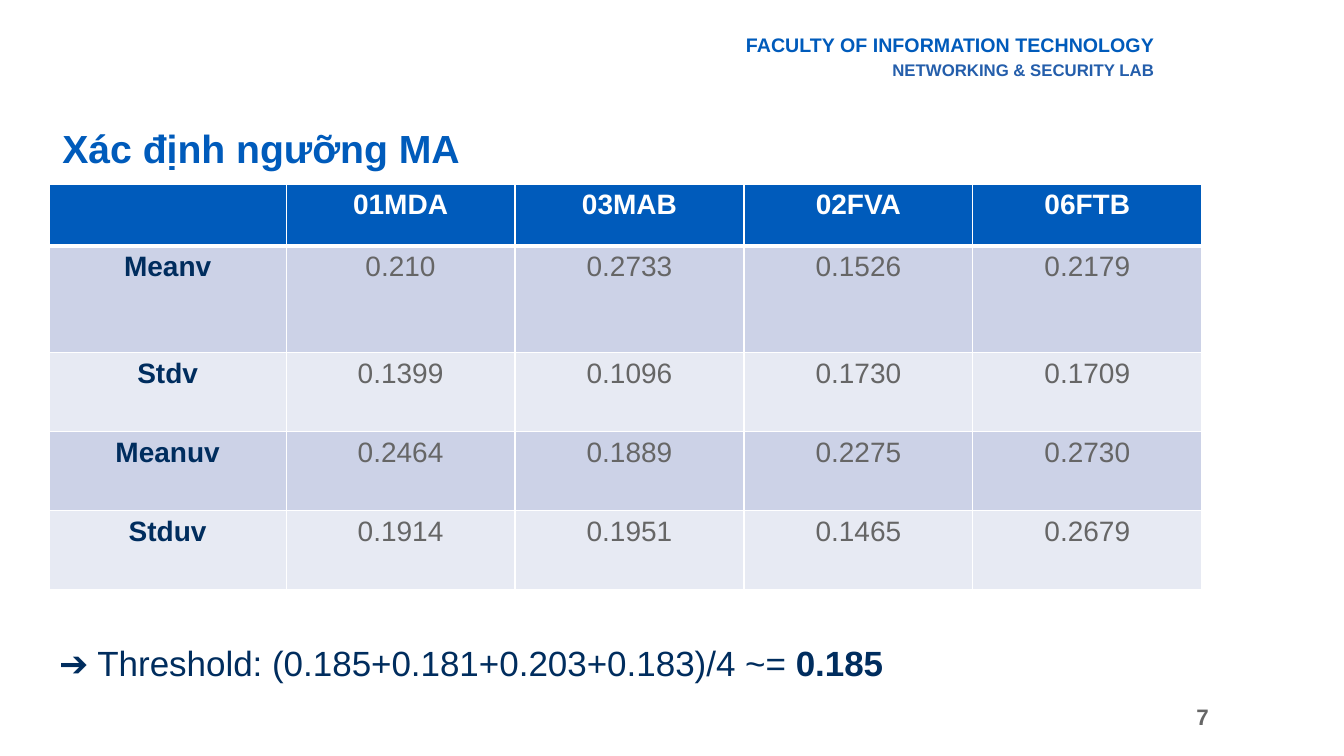
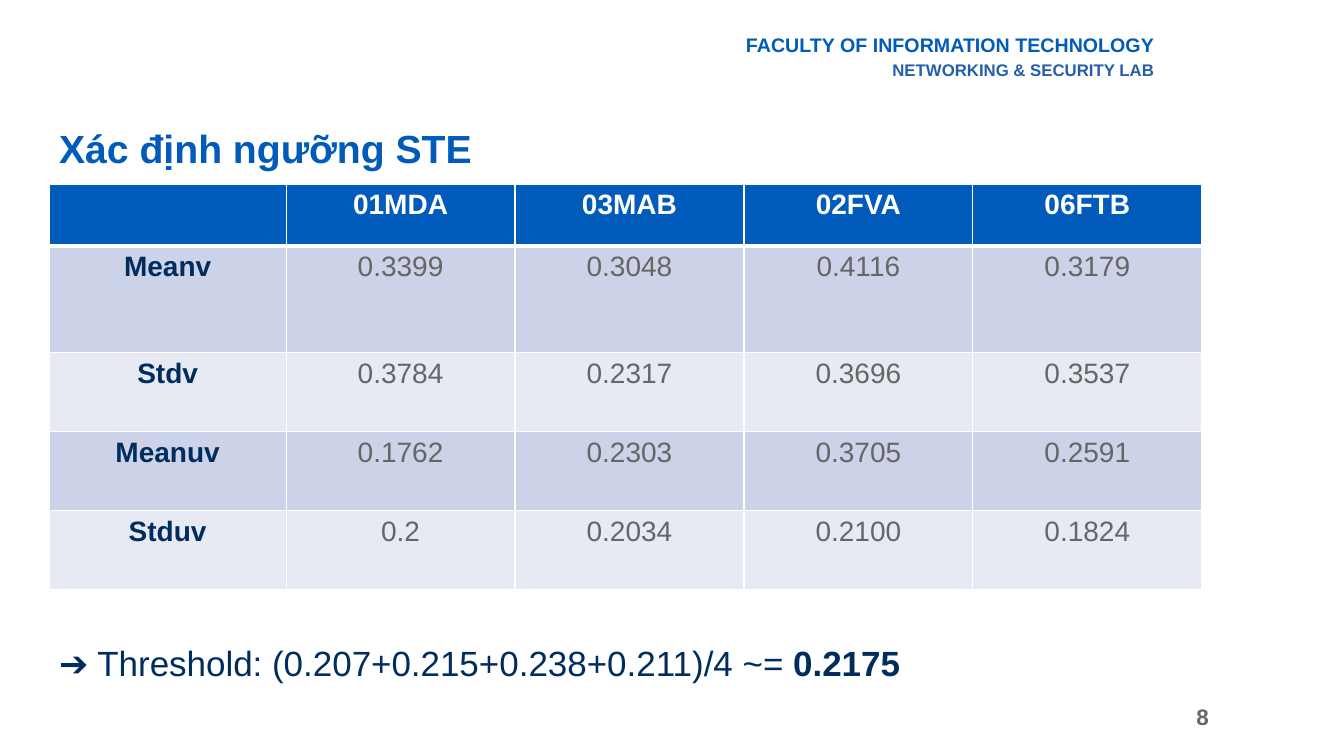
from lxml.etree import SubElement
from pptx import Presentation
from pptx.dml.color import RGBColor
from pptx.enum.text import MSO_ANCHOR, PP_ALIGN
from pptx.oxml.ns import qn
from pptx.util import Cm, Pt

FONT = "Arial"
BLUE = RGBColor(0x00, 0x5B, 0xBB)
STEEL = RGBColor(0x24, 0x5E, 0xAB)
NAVY = RGBColor(0x00, 0x2D, 0x5E)
GRAY = RGBColor(0x66, 0x66, 0x66)
WHITE = RGBColor(0xFF, 0xFF, 0xFF)
BANDS = [RGBColor(0xCC, 0xD2, 0xE7), RGBColor(0xE7, 0xEA, 0xF3)]

HEADS = ["", "01MDA", "03MAB", "02FVA", "06FTB"]
NAMES = ["Meanv", "Stdv", "Meanuv", "Stduv"]
WIDTHS = [5.97] + [5.77] * 4
HEIGHTS = [1.55, 2.69] + [1.99] * 3

PAGES = [
    {
        "number": 7, "left": 1.32, "title": "Xác định ngưỡng MA",
        "rows": [
            ["0.210", "0.2733", "0.1526", "0.2179"],
            ["0.1399", "0.1096", "0.1730", "0.1709"],
            ["0.2464", "0.1889", "0.2275", "0.2730"],
            ["0.1914", "0.1951", "0.1465", "0.2679"],
        ],
        "sum": "0.185+0.181+0.203+0.183", "result": "0.185",
    },
    {
        "number": 8, "left": 1.24, "title": "Xác định ngưỡng STE",
        "rows": [
            ["0.3399", "0.3048", "0.4116", "0.3179"],
            ["0.3784", "0.2317", "0.3696", "0.3537"],
            ["0.1762", "0.2303", "0.3705", "0.2591"],
            ["0.2", "0.2034", "0.2100", "0.1824"],
        ],
        "sum": "0.207+0.215+0.238+0.211", "result": "0.2175",
    },
]


def style(para, size, color, bold=True, align=PP_ALIGN.LEFT):
    para.alignment = align
    font = para.font
    font.name, font.size, font.bold = FONT, Pt(size), bold
    font.color.rgb = color


def add_box(slide, box, anchor=MSO_ANCHOR.TOP):
    frame = slide.shapes.add_textbox(*map(Cm, box)).text_frame
    frame.word_wrap = True
    frame.vertical_anchor = anchor
    return frame


def add_header(slide, box):
    frame = add_box(slide, box)
    top = frame.paragraphs[0]
    top.text = "FACULTY OF INFORMATION TECHNOLOGY"
    style(top, 14, BLUE, align=PP_ALIGN.RIGHT)
    lab = frame.add_paragraph()
    lab.text = "NETWORKING & SECURITY LAB"
    lab.space_before = Pt(2)
    style(lab, 12, STEEL, align=PP_ALIGN.RIGHT)


def add_number(slide, box, number):
    para = add_box(slide, box, MSO_ANCHOR.MIDDLE).paragraphs[0]
    para.text = str(number)
    style(para, 16, GRAY, align=PP_ALIGN.RIGHT)


def add_title(slide, box, text):
    para = add_box(slide, box).paragraphs[0]
    para.text = text
    style(para, 28, BLUE)


def add_edges(cell, widths):
    props = cell._tc.get_or_add_tcPr()
    for index, (side, width) in enumerate(widths.items()):
        line = props.makeelement(qn(f"a:ln{side}"), {"w": str(Pt(width))})
        fill = SubElement(line, qn("a:solidFill"))
        SubElement(fill, qn("a:srgbClr"), val=str(WHITE))
        props.insert(index, line)


def add_grid(slide, left, top, rows):
    data = [HEADS] + [[name] + row for name, row in zip(NAMES, rows)]
    size = Cm(sum(WIDTHS)), Cm(sum(HEIGHTS))
    table = slide.shapes.add_table(
        len(data), len(HEADS), Cm(left), Cm(top), *size).table
    for column, width in zip(table.columns, WIDTHS):
        column.width = Cm(width)
    for r, (row, height) in enumerate(zip(data, HEIGHTS)):
        table.rows[r].height = Cm(height)
        for c, text in enumerate(row):
            cell = table.cell(r, c)
            cell.text = text
            cell.fill.solid()
            cell.fill.fore_color.rgb = BANDS[(r - 1) % 2] if r else BLUE
            color = WHITE if r == 0 else NAVY if c == 0 else GRAY
            style(cell.text_frame.paragraphs[0], 20, color,
                  r == 0 or c == 0, PP_ALIGN.CENTER)
            add_edges(cell, {"L": 1, "R": 1, "T": 3 if r == 1 else 1,
                             "B": 3 if r == 0 else 1})


def add_result(slide, box, total, result):
    para = add_box(slide, box).paragraphs[0]
    style(para, 25, NAVY, bold=False)
    para.add_run().text = f"➔ Threshold: ({total})/4 ~= "
    run = para.add_run()
    run.text = result
    run.font.bold = True


def add_page(deck, page):
    slide = deck.slides.add_slide(deck.slide_layouts[6])
    add_number(slide, (19.28, 17.55, 11.43, 1.02), page["number"])
    add_header(slide, (17.86, 0.71, 11.48, 1.45))
    add_title(slide, (page["left"], 3, 19.3, 1.65), page["title"])
    add_grid(slide, 1.24, 4.65, page["rows"])
    add_result(slide, (1.24, 16.05, 23.09, 1.32), page["sum"], page["result"])


def main():
    deck = Presentation()
    deck.slide_width, deck.slide_height = Cm(33.87), Cm(19.05)
    for page in PAGES:
        add_page(deck, page)
    deck.save("out.pptx")


if __name__ == "__main__":
    main()
